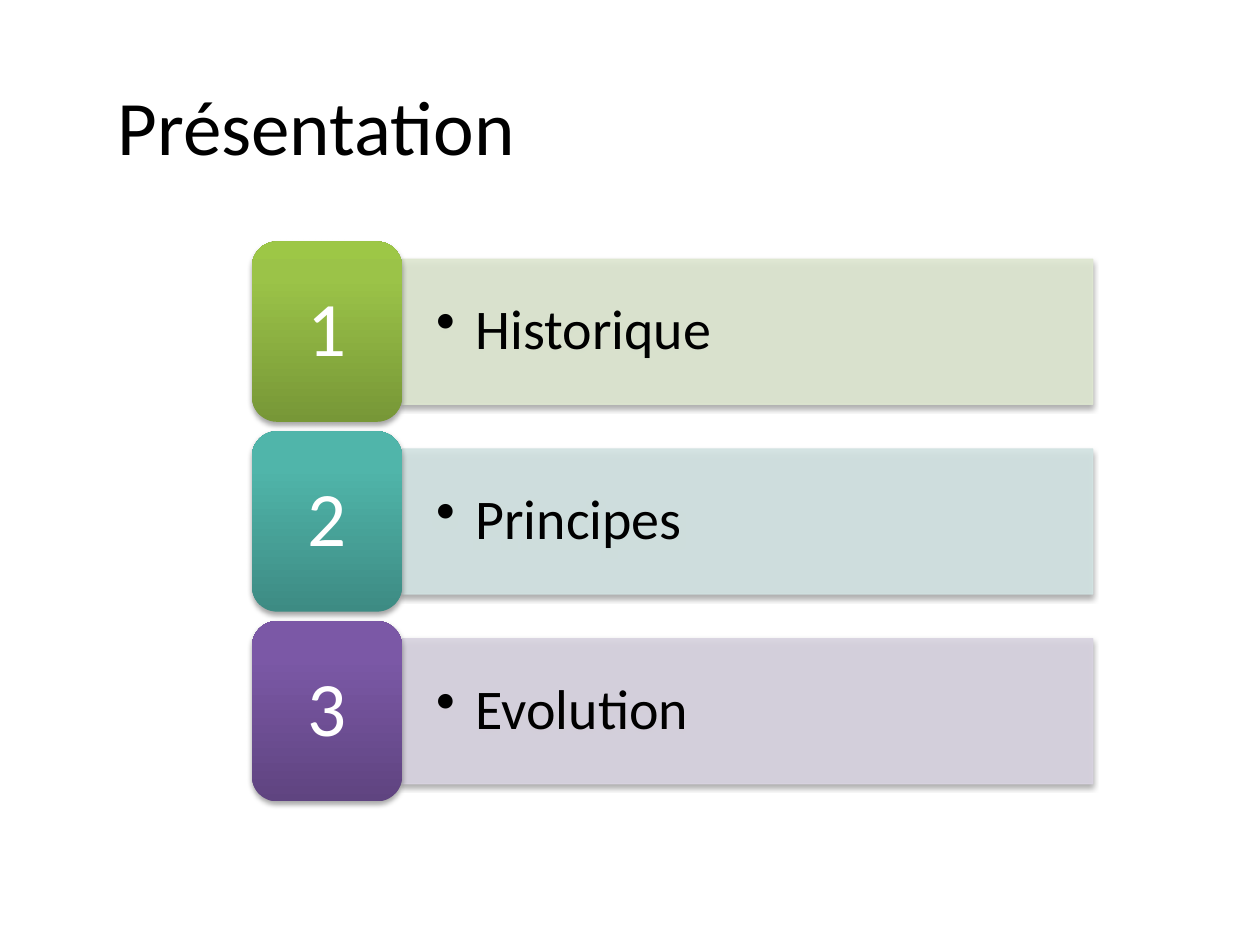
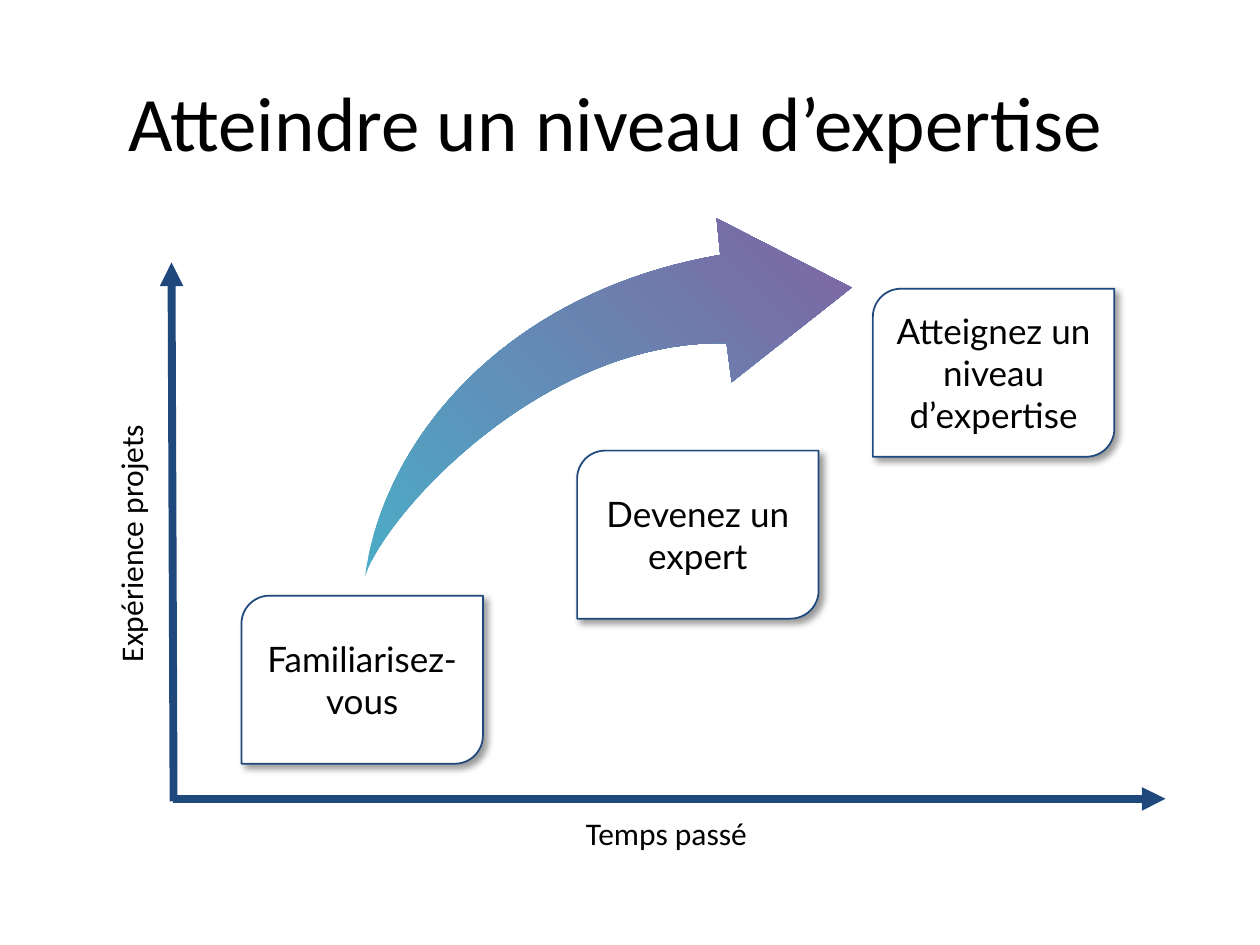
from collections import namedtuple

from lxml.etree import SubElement
from pptx import Presentation
from pptx.dml.color import RGBColor
from pptx.enum.shapes import MSO_CONNECTOR, MSO_SHAPE
from pptx.enum.text import MSO_ANCHOR, PP_ALIGN
from pptx.oxml.ns import qn
from pptx.util import Pt

Box = namedtuple("Box", "left top width height")
BLACK, WHITE, NAVY = "000000", "FFFFFF", "1F497D"
SOFT_SHADOW = dict(alpha=35, blur=3.1, dist=1.8, angle=90)
CARD_SHADOW = dict(alpha=40, blur=4, dist=3, angle=45)
AGENDA = [
    ("Historique", "DEE7D1", ("779737", "9BC348", "9DC746")),
    ("Principes", "D2E3E2", ("3D8B83", "50B5AA", "4EB8AC")),
    ("Evolution", "D8D3E0", ("5F4480", "7B58A6", "7C57A8")),
]
STEPS = [
    ("Familiarisez-vous", 39.2, 190.4),
    ("Devenez un expert", 231, 107.5),
    ("Atteignez un niveau d’expertise", 400, 15),
]


def colour(value):
    """Turn a hex string into a colour."""
    return RGBColor.from_string(value)


def lengths(box):
    """Turn a box in points into four lengths."""
    return [Pt(value) for value in box]


def set_all(target, values):
    """Set each named attribute of the target."""
    for name, value in values.items():
        setattr(target, name, value)


def add_node(parent, tag, **values):
    """Append a drawing element with the given attributes."""
    return SubElement(parent, qn(tag), {key: str(value) for key, value in values.items()})


def write(shape, text, size, font="Calibri", hue=BLACK, align=PP_ALIGN.CENTER,
          anchor=MSO_ANCHOR.MIDDLE, inset=(3.6, 3.6)):
    """Put one formatted paragraph in a shape and return it."""
    across, down = map(Pt, inset)
    frame = shape.text_frame
    set_all(frame, dict(word_wrap=True, vertical_anchor=anchor, margin_left=across,
                        margin_right=across, margin_top=down, margin_bottom=down))
    para = frame.paragraphs[0]
    para.alignment = align
    span = para.add_run()
    span.text = text
    set_all(span.font, dict(size=Pt(size), name=font))
    span.font.color.rgb = colour(hue)
    return para


def paint(shape, fill, line=None, width=0.75):
    """Give a shape a solid fill, an outline if any, and no shadow."""
    shape.shadow.inherit = False
    shape.fill.solid()
    shape.fill.fore_color.rgb = colour(fill)
    if line:
        shape.line.color.rgb = colour(line)
        shape.line.width = Pt(width)
    else:
        shape.line.fill.background()


def blend(shape, stops, angle):
    """Replace the fill by a gradient of (percent, colour) stops."""
    shape.fill.gradient()
    shape.fill.gradient_angle = angle
    stop_list = shape.element.spPr.find(".//" + qn("a:gsLst"))
    for stop in list(stop_list):
        stop_list.remove(stop)
    for percent, hue in stops:
        add_node(add_node(stop_list, "a:gs", pos=percent * 1000), "a:srgbClr", val=hue)


def fade(shape, percent):
    """Make the fill and outline partly transparent."""
    for hue in shape.element.spPr.iter(qn("a:srgbClr")):
        add_node(hue, "a:alpha", val=percent * 1000)


def cast_shadow(shape, alpha, blur, dist, angle):
    """Add a black outer shadow."""
    effects = shape.element.spPr.find(qn("a:effectLst"))
    shadow = add_node(effects, "a:outerShdw", blurRad=Pt(blur), dist=Pt(dist),
                      dir=angle * 60000, rotWithShape=0)
    add_node(add_node(shadow, "a:srgbClr", val=BLACK), "a:alpha", val=alpha * 1000)


def add_page(deck, title, box):
    """Add a title-only page with its title in the box."""
    page = deck.slides.add_slide(deck.slide_layouts[5])
    holder = page.shapes.title
    set_all(holder, dict(zip(("left", "top", "width", "height"), lengths(box))))
    write(holder, title, 44, align=PP_ALIGN.LEFT, inset=(7.2, 3.6))
    return page


def add_agenda_row(page, box, number, topic, tint, shades):
    """Draw a topic bar with its numbered badge."""
    badge_width, indent = 85.7, Pt(22.5)
    bar_box = Box(box.left + badge_width, box.top + 10.1, box.width - badge_width, box.height - 20.2)
    bar = page.shapes.add_shape(MSO_SHAPE.RECTANGLE, *lengths(bar_box))
    paint(bar, tint, tint)
    fade(bar, 90)
    cast_shadow(bar, **SOFT_SHADOW)
    para = write(bar, topic, 32, align=PP_ALIGN.LEFT, inset=(19.5, 10))
    para.line_spacing = 0.9
    layout = para._p.get_or_add_pPr()
    layout.set("marL", str(indent))
    layout.set("indent", str(-indent))
    add_node(layout, "a:buChar", char="•")

    badge = page.shapes.add_shape(MSO_SHAPE.ROUNDED_RECTANGLE,
                                  *lengths(box._replace(width=badge_width)))
    paint(badge, tint)
    blend(badge, zip((0, 80, 100), shades), 90)
    cast_shadow(badge, **SOFT_SHADOW)
    write(badge, str(number), 44, hue=WHITE).line_spacing = 0.9


def add_agenda(page, box):
    """Stack the agenda rows in the box."""
    gap = 5.4
    height = (box.height - gap * (len(AGENDA) - 1)) / len(AGENDA)
    for index, (topic, tint, shades) in enumerate(AGENDA):
        row = Box(box.left, box.top + index * (height + gap), box.width, height)
        add_agenda_row(page, row, index + 1, topic, tint, shades)


def add_axis(page, start, end):
    """Draw an axis with an arrowhead at its end."""
    axis = page.shapes.add_connector(MSO_CONNECTOR.STRAIGHT, *lengths(start + end))
    axis.line.color.rgb = colour(NAVY)
    axis.line.width = Pt(4.5)
    add_node(axis.line._get_or_add_ln(), "a:tailEnd", type="triangle")
    add_node(axis._element.spPr, "a:effectLst")


def add_axes(page, box):
    """Draw both axes of the plot and their labels."""
    right, bottom = box.left + box.width, box.top + box.height
    add_axis(page, (box.left, bottom), (right, bottom))
    add_axis(page, (box.left + 0.4, bottom + 1.4), (box.left - 0.8, box.top))
    labels = [
        ("Temps passé", Box(box.left + 15, bottom + 5, 534, 29), 0),
        ("Expérience projets", Box(box.left - 170, box.top + 146, 292, 29), 270),
    ]
    for text, place, turn in labels:
        label = page.shapes.add_textbox(*lengths(place))
        label.rotation = turn
        write(label, text, 18, anchor=MSO_ANCHOR.TOP, inset=(7.2, 3.6))


def add_step(page, box, text):
    """Draw one step card."""
    card = page.shapes.add_shape(MSO_SHAPE.ROUND_2_DIAG_RECTANGLE, *lengths(box))
    paint(card, WHITE, NAVY, 1)
    cast_shadow(card, **CARD_SHADOW)
    write(card, text, 20, "Lato")


def curve(points, steps=40):
    """Sample a cubic curve through its four control points."""
    for step in range(1, steps + 1):
        t = step / steps
        weights = ((1 - t) ** 3, 3 * t * (1 - t) ** 2, 3 * t * t * (1 - t), t ** 3)
        yield tuple(sum(w * point[axis] for w, point in zip(weights, points)) for axis in (0, 1))


def add_growth_arrow(page, box):
    """Draw the curved arrow that fills the box."""
    tail = (0, box.height)
    outer = [tail, (10.8, 125.3), (81.4, 41.8), (203, 20.9)]
    head = [(200.9, 0), (box.width, 39.6), (209.5, 93.6), (206.6, 71.3)]
    inner = [head[-1], (102.2, 69.1), (12.2, 167.8), tail]
    outline = [*curve(outer), *head, *curve(inner)]
    points = [(Pt(box.left + x), Pt(box.top + y)) for x, y in outline]
    builder = page.shapes.build_freeform(Pt(box.left), Pt(box.top + box.height))
    builder.add_line_segments(points, close=True)
    arrow = builder.convert_to_shape()
    paint(arrow, WHITE)
    blend(arrow, [(0, "4BACC6"), (100, "8064A2")], 45)


def add_expertise_plot(page, box):
    """Draw the axes, the steps and the growth arrow."""
    add_axes(page, box)
    for text, left, top in STEPS:
        add_step(page, Box(box.left + left, box.top + top, 138, 96), text)
    add_growth_arrow(page, Box(box.left + 109.8, box.top - 25.2, 278, 204.5))


def main():
    """Build and save the deck."""
    deck = Presentation()
    deck.slide_width, deck.slide_height = Pt(720), Pt(540)
    agenda = add_page(deck, "Présentation", Box(60, 26, 636, 90))
    add_agenda(agenda, Box(144, 138, 480.5, 320))
    expertise = add_page(deck, "Atteindre un niveau d’expertise", Box(66, 24, 636, 90))
    add_expertise_plot(expertise, Box(98.8, 150, 567.2, 306.5))
    deck.save("out.pptx")


if __name__ == "__main__":
    main()
